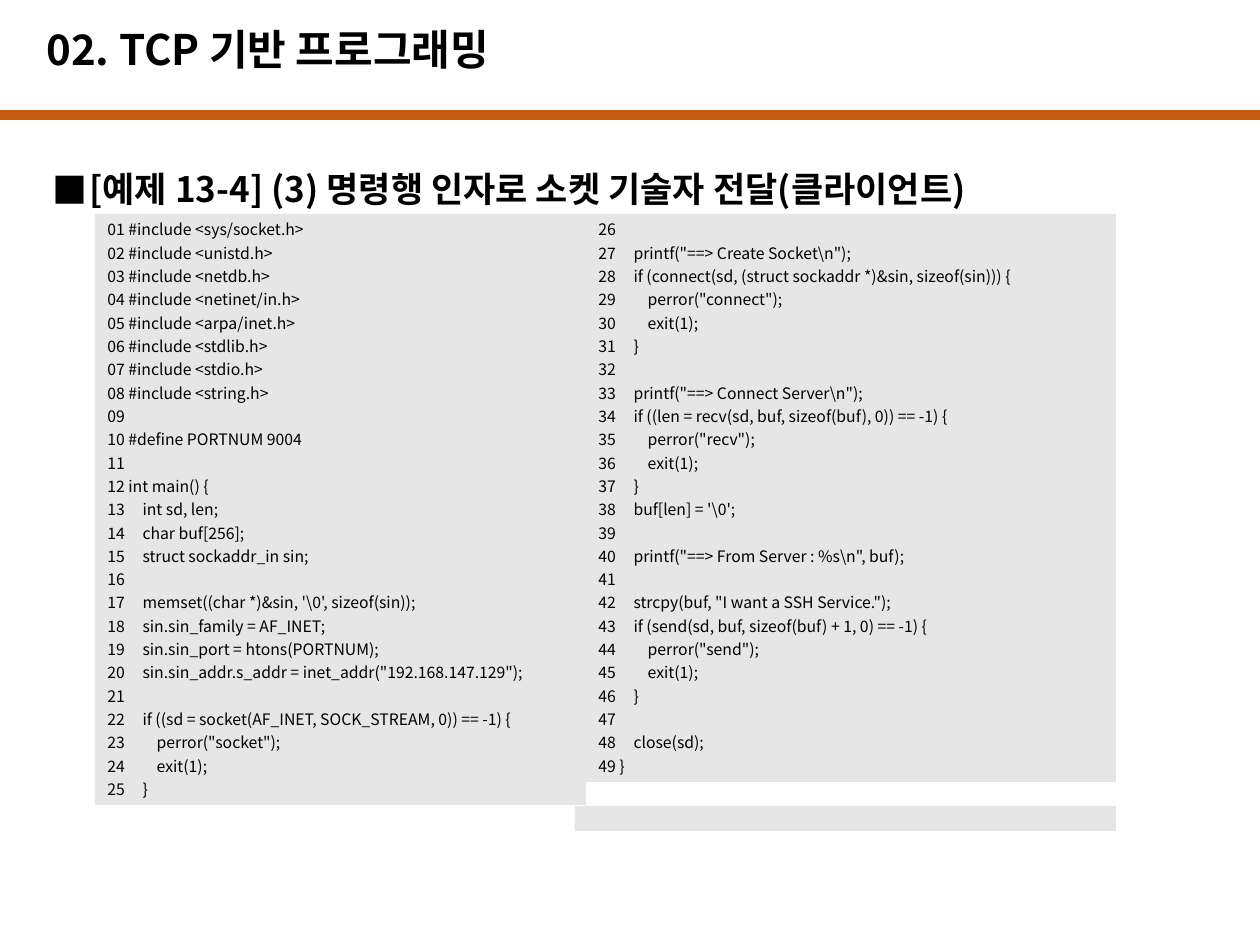
from lxml import etree
from pptx import Presentation
from pptx.dml.color import RGBColor
from pptx.enum.shapes import MSO_CONNECTOR, MSO_SHAPE
from pptx.enum.text import MSO_ANCHOR, MSO_AUTO_SIZE, PP_ALIGN
from pptx.oxml.ns import qn
from pptx.util import Emu, Pt

STRAIGHT = MSO_CONNECTOR.STRAIGHT
RECTANGLE = MSO_SHAPE.RECTANGLE
TOP, MIDDLE = MSO_ANCHOR.TOP, MSO_ANCHOR.MIDDLE
LEFT = PP_ALIGN.LEFT
GROW = MSO_AUTO_SIZE.SHAPE_TO_FIT_TEXT

FONT = "Noto Sans CJK KR"
BLACK = RGBColor(0x00, 0x00, 0x00)
ORANGE = RGBColor(0xC5, 0x5A, 0x11)
GRAY = RGBColor(0xE6, 0xE6, 0xE6)
PX_PER_INCH = 126

LEFT_CODE = r"""#include <sys/socket.h>
#include <unistd.h>
#include <netdb.h>
#include <netinet/in.h>
#include <arpa/inet.h>
#include <stdlib.h>
#include <stdio.h>
#include <string.h>

#define PORTNUM 9004

int main() {
    int sd, len;
    char buf[256];
    struct sockaddr_in sin;

    memset((char *)&sin, '\0', sizeof(sin));
    sin.sin_family = AF_INET;
    sin.sin_port = htons(PORTNUM);
    sin.sin_addr.s_addr = inet_addr("192.168.147.129");

    if ((sd = socket(AF_INET, SOCK_STREAM, 0)) == -1) {
        perror("socket");
        exit(1);
    }"""

RIGHT_CODE = r"""
    printf("==> Create Socket\n");
    if (connect(sd, (struct sockaddr *)&sin, sizeof(sin))) {
        perror("connect");
        exit(1);
    }

    printf("==> Connect Server\n");
    if ((len = recv(sd, buf, sizeof(buf), 0)) == -1) {
        perror("recv");
        exit(1);
    }
    buf[len] = '\0';

    printf("==> From Server : %s\n", buf);

    strcpy(buf, "I want a SSH Service.");
    if (send(sd, buf, sizeof(buf) + 1, 0) == -1) {
        perror("send");
        exit(1);
    }

    close(sd);
}"""


def px(n):
    """Turn whole pixels into EMU."""
    return Emu(round(n * 914400 / PX_PER_INCH))


def write_text(sp, lines, size, bold=False, anchor=TOP, spacing=None, before=None):
    """Write one paragraph per line into a shape and return its text frame."""
    tf = sp.text_frame
    tf.word_wrap = True
    tf.vertical_anchor = anchor
    for i, line in enumerate(lines):
        p = tf.add_paragraph() if i else tf.paragraphs[0]
        p.alignment = LEFT
        p.line_spacing = spacing
        p.space_before = before
        r = p.add_run()
        r.text = line
        r.font.name = FONT
        r.font.size = Pt(size)
        r.font.bold = bold
        r.font.color.rgb = BLACK
        etree.SubElement(r.font._element, qn("a:ea"), typeface=FONT)
    return tf


def add_text(s, text, left, top, width, height, **fmt):
    """Add a text box holding one paragraph and return that paragraph."""
    sp = s.shapes.add_textbox(px(left), px(top), px(width), px(height))
    return write_text(sp, [text], **fmt).paragraphs[0]


def set_bullet(p, char, indent):
    """Give a paragraph a black bullet with a hanging indent."""
    pPr = p._p.get_or_add_pPr()
    pPr.set("marL", str(px(indent)))
    pPr.set("indent", str(-px(indent)))
    color = etree.SubElement(pPr, qn("a:buClr"))
    etree.SubElement(color, qn("a:srgbClr"), val=str(BLACK))
    etree.SubElement(pPr, qn("a:buFont"), typeface=FONT)
    etree.SubElement(pPr, qn("a:buChar"), char=char)


def add_rule(s, y, width, color, weight):
    """Add a horizontal rule from the left edge of the slide."""
    c = s.shapes.add_connector(STRAIGHT, 0, px(y), px(width), px(y))
    c.line.color.rgb = color
    c.line.width = Pt(weight)
    etree.SubElement(c._element.spPr, qn("a:effectLst"))


def add_panel(s, left, top, width, height):
    """Add a plain gray rectangle."""
    sp = s.shapes.add_shape(RECTANGLE, px(left), px(top), px(width), px(height))
    sp.shadow.inherit = False
    sp.fill.solid()
    sp.fill.fore_color.rgb = GRAY
    sp.line.fill.background()
    return sp


def add_code(s, code, first, left, top, width, height):
    """Add a panel of code lines numbered from first."""
    lines = [f"{n:02} {line}".rstrip() for n, line in enumerate(code.split("\n"), first)]
    sp = add_panel(s, left, top, width, height)
    write_text(sp, lines, size=9, before=Pt(2.5)).auto_size = GROW


def main():
    """Build the slide and save it."""
    prs = Presentation()
    prs.slide_width, prs.slide_height = px(1260), px(945)
    s = prs.slides.add_slide(prs.slide_layouts[6])
    add_rule(s, 115, 1260, ORANGE, 6)
    heading = add_text(s, "[예제 13-4] (3) 명령행 인자로 소켓 기술자 전달(클라이언트)",
                       40, 140, 1191, 753, size=20, bold=True, spacing=1.5)
    set_bullet(heading, "■", 37)
    add_text(s, "02. TCP 기반 프로그래밍", 34, 14, 1042, 76,
             size=24, bold=True, anchor=MIDDLE, spacing=0.9)
    add_code(s, LEFT_CODE, 1, 95, 214, 491, 591)
    add_code(s, RIGHT_CODE, 26, 586, 214, 530, 568)
    add_panel(s, 575, 806, 541, 25)
    prs.save("out.pptx")


if __name__ == "__main__":
    main()
